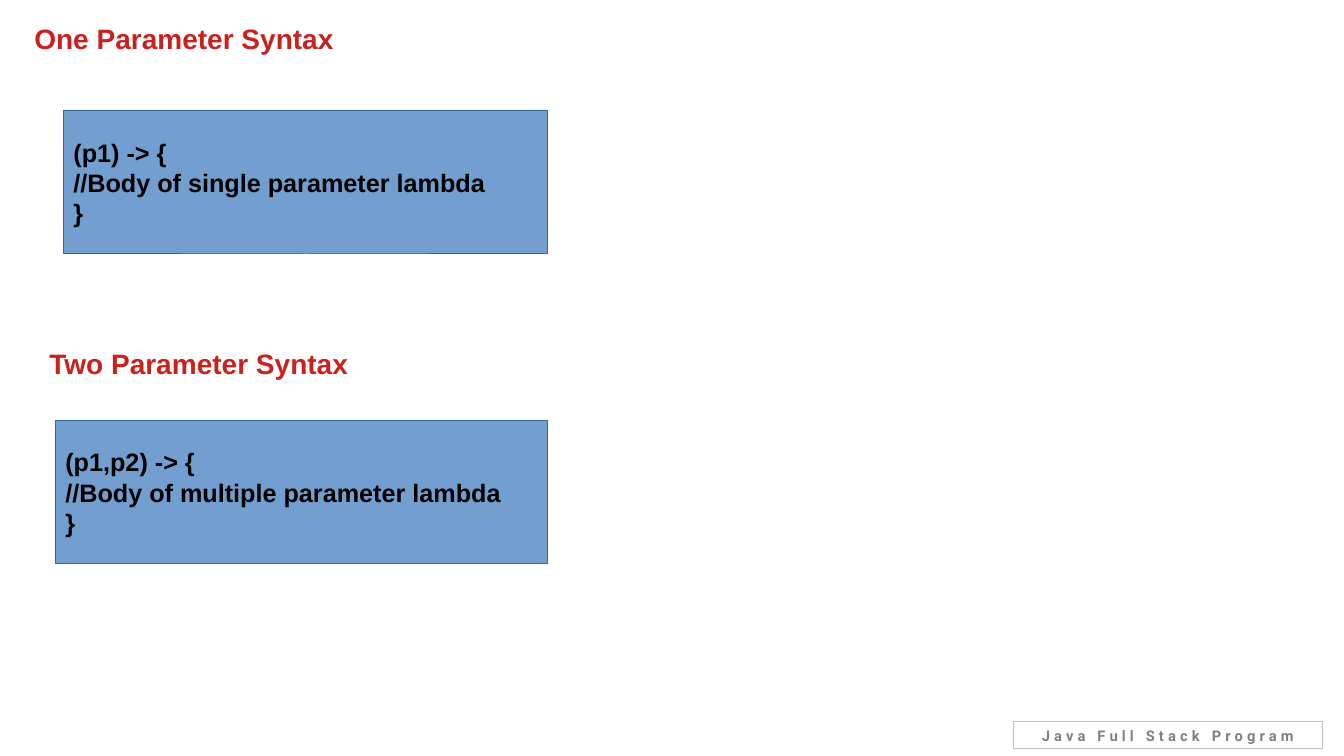
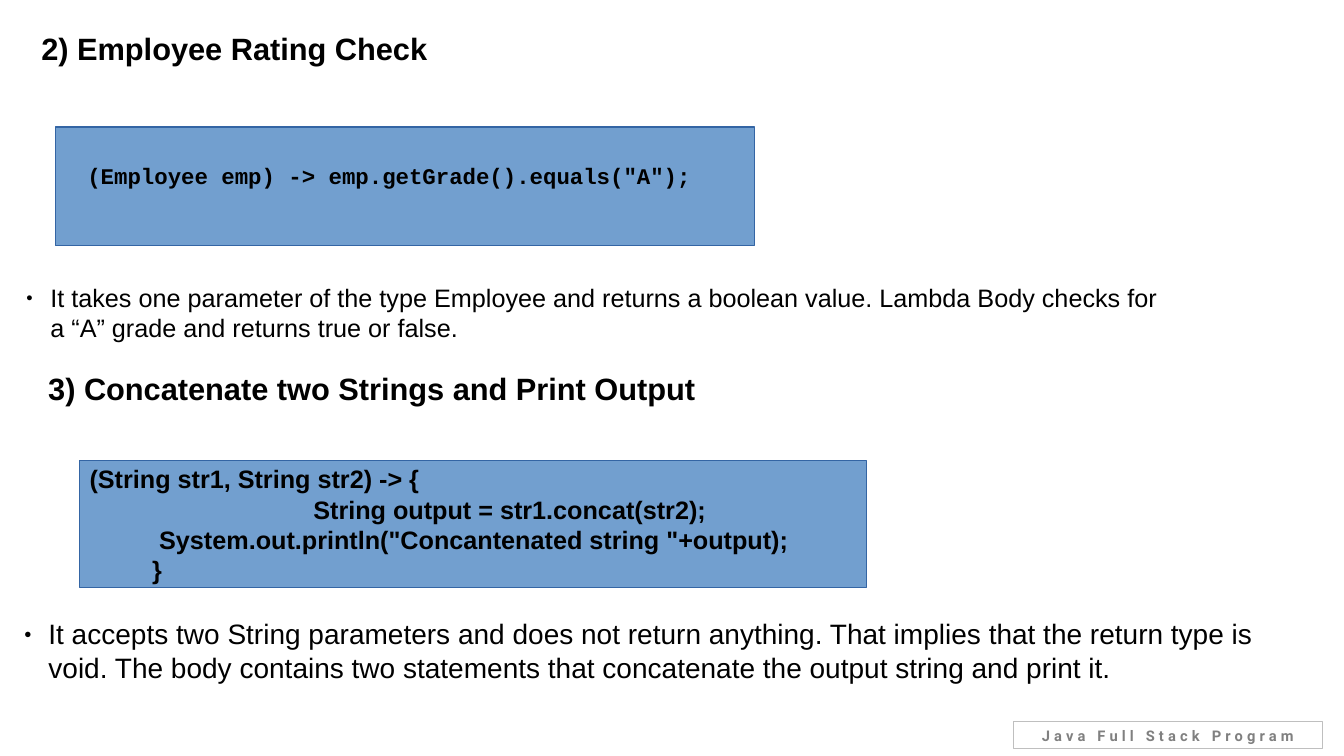
from dataclasses import dataclass

from lxml import etree
from pptx import Presentation
from pptx.dml.color import RGBColor
from pptx.enum.shapes import MSO_SHAPE
from pptx.enum.text import MSO_ANCHOR, MSO_AUTO_SIZE, PP_ALIGN
from pptx.oxml.ns import qn
from pptx.util import Inches, Pt

RECT = MSO_SHAPE.RECTANGLE
TOP, MIDDLE = MSO_ANCHOR.TOP, MSO_ANCHOR.MIDDLE
LEFT, CENTER = PP_ALIGN.LEFT, PP_ALIGN.CENTER
NO_FIT = MSO_AUTO_SIZE.NONE
TITLE_ONLY, TWO_CONTENT = 5, 3  # layouts of the default template


@dataclass(frozen=True)
class Theme:
    """Colours, fonts and type sizes shared by the slides."""
    red: str = "C9211E"
    black: str = "000000"
    panel: str = "729FCF"
    panel_line: str = "3465A4"
    tag_text: str = "808080"
    tag_line: str = "BFBFBF"
    font: str = "Arial"
    mono: str = "Courier New"
    tag_font: str = "Roboto"
    syntax_size: float = 20
    example_size: float = 22
    code_size: float = 18
    mono_size: float = 16
    tag_size: float = 10.5
    rule: float = 0.75


T = Theme()

# Boxes are (left, top, width, height) in inches.
TAG = ("Java Full Stack Program", (10.05, 7.16, 3.07, 0.27))

# Each heading: text, box. Each code line: text, indent in inches.
SYNTAX = {
    "headings": [("One Parameter Syntax", (0.24, 0.16, 7.17, 1.94)),
                 ("Two Parameter Syntax", (0.39, 3.39, 4.75, 1.94))],
    "panels": [
        ((0.63, 1.1, 4.8, 1.42),
         [("(p1) -> {", 0), ("//Body of single parameter lambda", 0), ("}", 0)]),
        ((0.55, 4.17, 4.88, 1.42),
         [("(p1,p2) -> {", 0), ("//Body of multiple parameter lambda", 0), ("}", 0)]),
    ],
}

EXAMPLES = {
    "headings": [
        ("2) Employee Rating Check", (0.31, 0.24, 5.12, 0.74)),
        ("3) Concatenate two Strings and Print Output", (0.38, 3.62, 6.94, 1.08))],
    "panels": [
        ((0.55, 1.26, 6.93, 1.18), []),
        ((0.79, 4.57, 7.8, 1.26),
         [("(String str1, String str2) -> {", 0),
          ("String output = str1.concat(str2);", 2.22),
          ('System.out.println("Concantenated string "+output);', 0.69),
          ("}", 0.62)]),
    ],
    "bullets": [
        ("It takes one parameter of the type Employee\u00a0and returns a boolean value. "
         "Lambda Body checks for a “A” grade and returns true or false.",
         (0.16, 2.75, 11.57, 1.12), 18),
        ("It accepts two String parameters and does not return anything. That implies "
         "that the return type is void. The body contains two statements that "
         "concatenate the output string and print it.",
         (0.14, 6.07, 12.77, 0.72), 20)],
}
RATING_CODE = ('(Employee emp) -> emp.getGrade().equals("A");', (0.63, 1.56, 6.46, 0.51))


def place(s, box):
    """Move and size a shape."""
    s.left, s.top, s.width, s.height = map(Inches, box)


def write(s, lines, size, color=T.black, font=T.font, bold=True,
          align=LEFT, anchor=TOP):
    """Fill a shape with one paragraph per line in a single style."""
    tf = s.text_frame
    tf.text = "\n".join(lines)
    tf.word_wrap, tf.auto_size, tf.vertical_anchor = True, NO_FIT, anchor
    for p in tf.paragraphs:
        p.alignment = align
        for r in p.runs:
            f = r.font
            f.size, f.name, f.bold = Pt(size), font, bold
            f.color.rgb = RGBColor.from_string(color)


def indent(p, margin, first=0.0):
    """Set the left margin and first-line indent of a paragraph."""
    pPr = p._p.get_or_add_pPr()
    pPr.set("marL", str(Inches(margin)))
    pPr.set("indent", str(Inches(first)))
    return pPr


def add_box(slide, box, line, fill=None):
    """Add an outlined rectangle, filled or hollow."""
    s = slide.shapes.add_shape(RECT, *map(Inches, box))
    s.shadow.inherit = False
    s.line.color.rgb = RGBColor.from_string(line)
    s.line.width = Pt(T.rule)
    if fill:
        s.fill.solid()
        s.fill.fore_color.rgb = RGBColor.from_string(fill)
    else:
        s.fill.background()
    return s


def add_tag(slide):
    """Add the programme tag in the lower right corner."""
    text, box = TAG
    s = add_box(slide, box, T.tag_line)
    write(s, [text], T.tag_size, T.tag_text, T.tag_font, align=CENTER)
    s.text_frame.paragraphs[0].runs[0].font._element.set("spc", "300")


def add_panel(slide, box, code):
    """Add a blue panel with indented code lines."""
    s = add_box(slide, box, T.panel_line, T.panel)
    if code:
        write(s, [text for text, _ in code], T.code_size, anchor=MIDDLE)
        for p, (_, margin) in zip(s.text_frame.paragraphs, code):
            indent(p, margin)


def fill_bullet(s, text, box, size):
    """Turn a body placeholder into one small-bulleted paragraph."""
    place(s, box)
    write(s, [text], size, bold=False)
    p = s.text_frame.paragraphs[0]
    p.space_before, p.space_after = Pt(11.9), Pt(9.9)
    pPr = indent(p, 0.24, -0.24)
    etree.SubElement(pPr, qn("a:buSzPct")).set("val", "45000")
    etree.SubElement(pPr, qn("a:buChar")).set("char", "●")


def add_slide(prs, layout, content, size, color):
    """Build a slide: tag, two headings, panels and any bullets."""
    slide = prs.slides.add_slide(prs.slide_layouts[layout])
    add_tag(slide)
    (title, title_box), (subhead, subhead_box) = content["headings"]
    place(slide.shapes.title, title_box)
    write(slide.shapes.title, [title], size, color)
    for panel in content["panels"]:
        add_panel(slide, *panel)
    s = slide.shapes.add_textbox(*map(Inches, subhead_box))
    write(s, [subhead], size, color)
    bodies = list(slide.placeholders)[1:]
    for body, bullet in zip(bodies, content.get("bullets", [])):
        fill_bullet(body, *bullet)
    return slide


prs = Presentation()
prs.slide_width, prs.slide_height = Inches(13.33), Inches(7.5)

add_slide(prs, TITLE_ONLY, SYNTAX, T.syntax_size, T.red)

examples = add_slide(prs, TWO_CONTENT, EXAMPLES, T.example_size, T.black)
code_text, code_box = RATING_CODE
rating = examples.shapes.add_textbox(*map(Inches, code_box))
write(rating, [code_text], T.mono_size, font=T.mono, align=CENTER)

prs.save("out.pptx")
